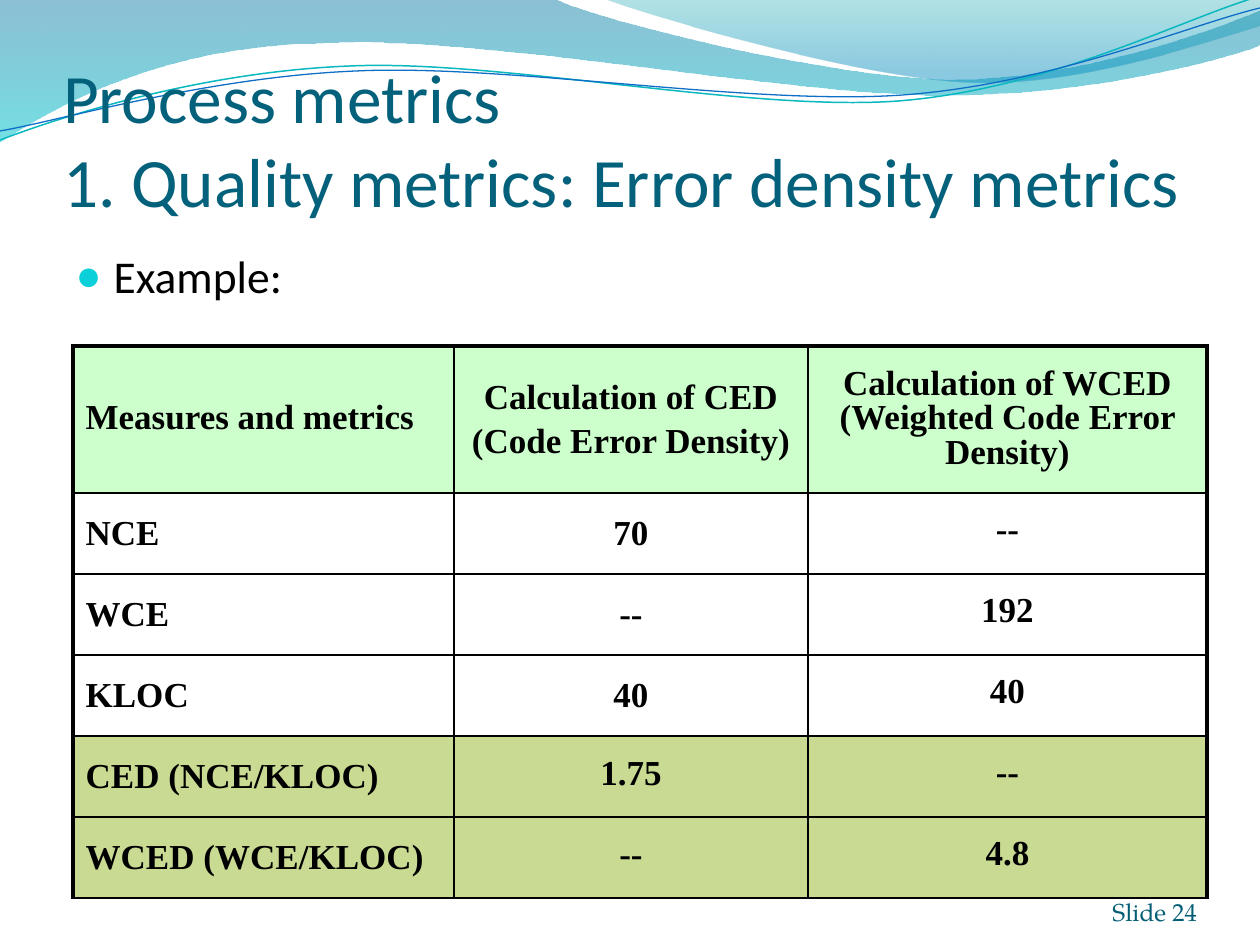
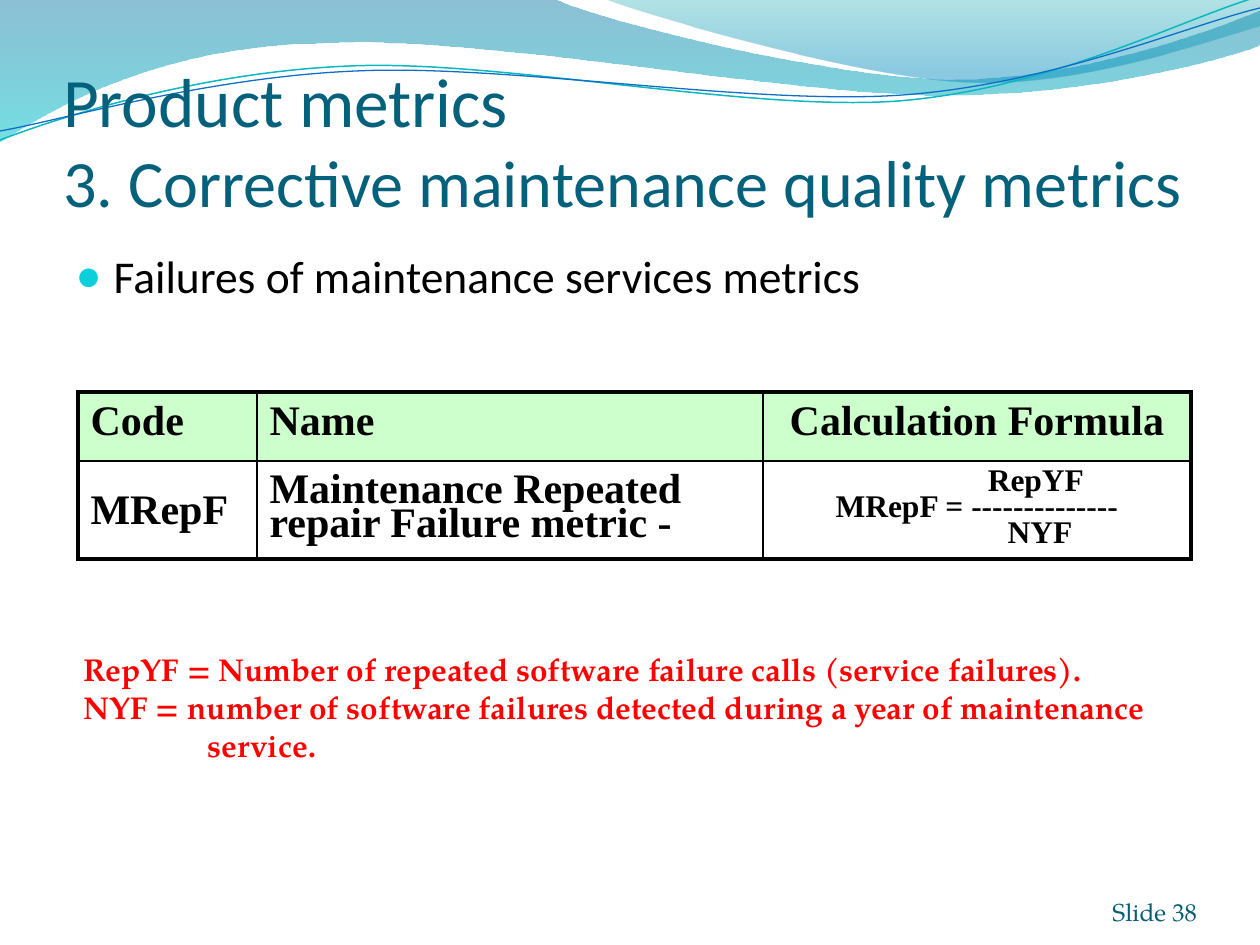
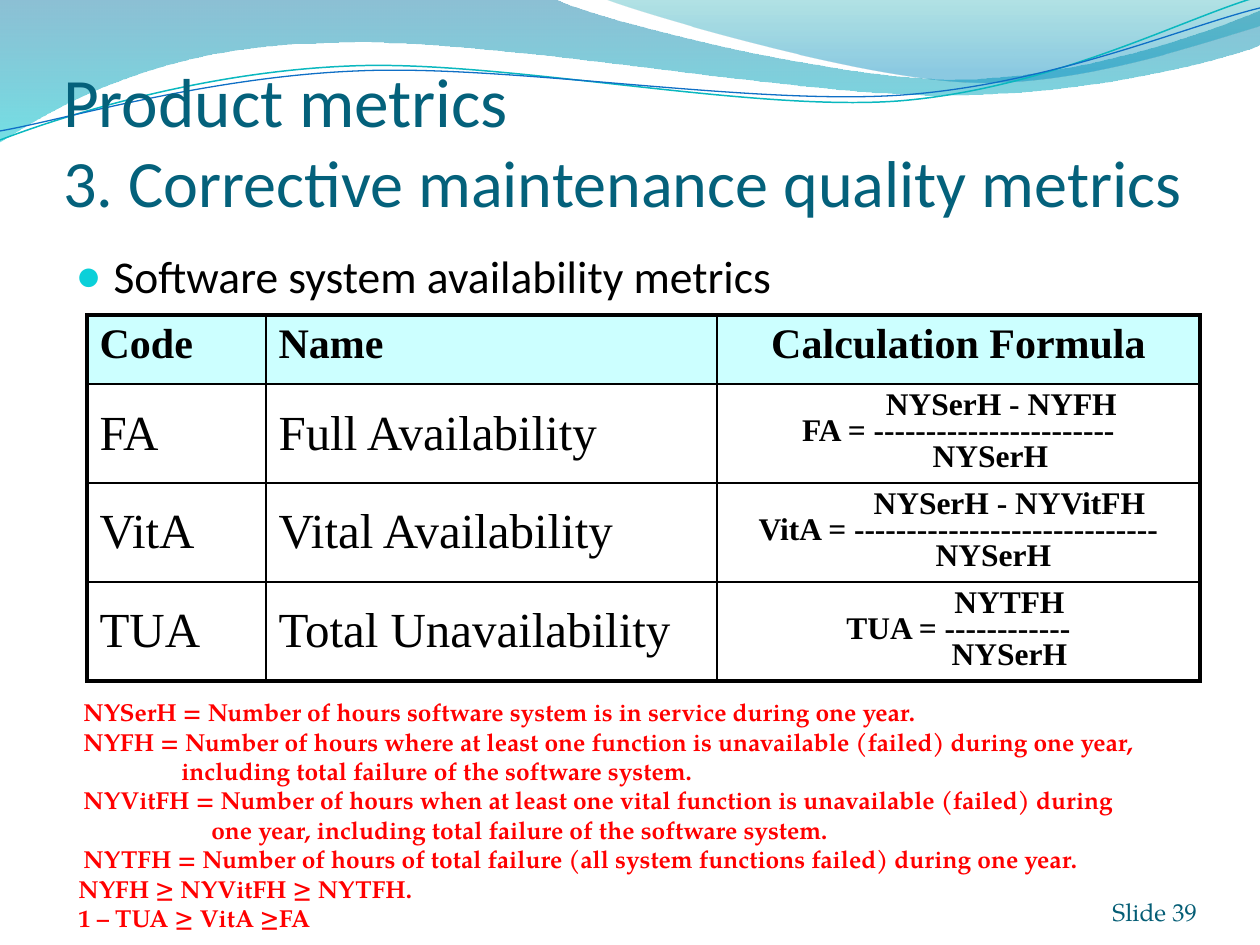
from dataclasses import dataclass

from lxml import etree
from pptx import Presentation
from pptx.dml.color import RGBColor
from pptx.enum.text import MSO_ANCHOR, MSO_AUTO_SIZE, PP_ALIGN
from pptx.oxml.ns import qn
from pptx.util import Pt

# Shared scale, colours and fonts
EMU_PER_PX = 914400 / 126
PAGE = (1260, 945)

BLACK = RGBColor(0x00, 0x00, 0x00)
TITLE_TEAL = RGBColor(0x04, 0x61, 0x7B)
FOOTER_TEAL = RGBColor(0x04, 0x5D, 0x75)
BULLET_CYAN = RGBColor(0x0B, 0xD0, 0xD9)
LEGEND_RED = RGBColor(0xFF, 0x00, 0x00)
HEADER_GREEN = RGBColor(0xCC, 0xFF, 0xCC)
HEADER_AQUA = RGBColor(0xCC, 0xFF, 0xFF)
RESULT_OLIVE = RGBColor(0xC9, 0xDA, 0x92)
WAVE_BLUE = RGBColor(0x00, 0x74, 0xA1)
WAVE_CYAN = RGBColor(0x00, 0xC6, 0xCF)
CREST_TEAL = RGBColor(0x00, 0xA1, 0xA9)
CREST_BLUE = RGBColor(0x00, 0x8B, 0xBF)
CURVE_CYAN = RGBColor(0x0A, 0xB8, 0xBF)
CURVE_BLUE = RGBColor(0x0F, 0x6F, 0xC6)

HEADING_FONT = "Calibri"
TABLE_FONT = "Times New Roman"
NOTE_FONT = "TeX Gyre Pagella"

CENTER, RIGHT = PP_ALIGN.CENTER, PP_ALIGN.RIGHT
TOP, MIDDLE, BOTTOM = MSO_ANCHOR.TOP, MSO_ANCHOR.MIDDLE, MSO_ANCHOR.BOTTOM
NO_FIT = MSO_AUTO_SIZE.NONE

TITLE_BOX = (63, 63, 1155, 158)
BODY_BOX = (63, 242, 1155, 651)
FOOTER_BOX = (1092, 876, 105, 50)
OUTER_PT, INNER_PT = 2.25, 1

# Waves: a start point, then lines (one point) and curves (three points)
WAVE = ((0, 0), [
    [(554, -1)],
    [(600, 21), (837, 79), (955, 79)],
    [(1075, 79), (1207, 33), (1260, 11)],
    [(1261, 45)],
    [(1239, 55), (1096, 96), (940, 95)],
    [(784, 95), (481, 35), (324, 43)],
    [(163, 45), (58, 105), (-1, 142)],
])
CREST = ((604, -1), [
    [(641, 14), (859, 78), (969, 82)],
    [(1079, 87), (1211, 40), (1260, 26)],
    [(1260, 0)],
])
CYAN_CURVE = ((0, 140), [
    [(60, 117), (199, 72), (349, 66)],
    [(498, 59), (747, 112), (898, 101)],
    [(1050, 89), (1182, 19), (1257, -3)],
])
BLUE_CURVE = ((0, 131), [
    [(59, 121), (207, 77), (357, 71)],
    [(508, 64), (752, 106), (903, 95)],
    [(1053, 84), (1186, 26), (1260, 8)],
])


@dataclass
class Cell:
    lines: list  # (text, left indent in px)
    size: int = 20
    bold: bool = True
    align: PP_ALIGN = None
    anchor: MSO_ANCHOR = MIDDLE
    spacing: float = None


def px(length):
    return round(length * EMU_PER_PX)


def emu_box(box):
    return [px(length) for length in box]


def add_run(paragraph, text, font, size, color, bold=False):
    run = paragraph.add_run()
    run.text = text
    run.font.name, run.font.size = font, Pt(size)
    run.font.color.rgb, run.font.bold = color, bold


def add_break(paragraph, size):
    paragraph.add_line_break()
    etree.SubElement(paragraph._p[-1], qn("a:rPr"), sz=str(round(size * 100)))


def set_indent(paragraph, left, first=0):
    properties = paragraph._p.get_or_add_pPr()
    properties.set("marL", str(px(left)))
    properties.set("indent", str(px(first)))


def next_paragraph(frame, index):
    return frame.add_paragraph() if index else frame.paragraphs[0]


# Wave header, shared through the slide master
def draw_outline(slide, outline, close):
    start, segments = outline
    builder = slide.shapes.build_freeform(*start, scale=EMU_PER_PX)
    builder.add_line_segments([point for segment in segments for point in segment], close)
    shape = builder.convert_to_shape()
    shape.shadow.inherit = False
    nodes = iter(shape._element.findall(".//" + qn("a:lnTo")))
    for segment in segments:
        group = [next(nodes) for _ in segment]
        if len(segment) == 3:
            curve = etree.Element(qn("a:cubicBezTo"))
            group[0].addprevious(curve)
            for node in group:
                curve.append(node[0])
                node.getparent().remove(node)
    return shape


def draw_band(slide, outline, stops):
    band = draw_outline(slide, outline, True)
    band.line.fill.background()
    band.fill.gradient()
    band.fill.gradient_angle = 270
    for stop, (position, color, opacity) in zip(band.fill.gradient_stops, stops):
        stop.position, stop.color.rgb = position, color
    for tint, (_, _, opacity) in zip(band._element.iter(qn("a:srgbClr")), stops):
        etree.SubElement(tint, qn("a:alpha"), val=str(opacity * 1000))
    return band


def draw_curve(slide, outline, color, width):
    curve = draw_outline(slide, outline, False)
    curve.fill.background()
    curve.line.color.rgb, curve.line.width = color, Pt(width)
    return curve


def add_master_waves(master, slide):
    waves = [
        draw_band(slide, WAVE, [(0, WAVE_BLUE, 45), (1, WAVE_CYAN, 55)]),
        draw_band(slide, CREST, [(0, CREST_TEAL, 30), (0.8, CREST_BLUE, 45)]),
        draw_curve(slide, CYAN_CURVE, CURVE_CYAN, 0.85),
        draw_curve(slide, BLUE_CURVE, CURVE_BLUE, 0.75),
    ]
    for index, wave in enumerate(waves):
        wave._element.nvSpPr.cNvPr.set("id", str(100 + index))
        master.shapes._spTree.insert(2 + index, wave._element)


# Title, bullet and slide number
def fill_title(title, box, lines):
    title.left, title.top, title.width, title.height = emu_box(box)
    frame = title.text_frame
    frame.auto_size, frame.vertical_anchor = NO_FIT, BOTTOM
    frame.margin_left = frame.margin_right = frame.margin_bottom = 0
    frame.margin_top = px(6)
    paragraph = frame.paragraphs[0]
    paragraph.alignment = PP_ALIGN.LEFT
    for index, (text, size) in enumerate(lines):
        if index:
            add_break(paragraph, lines[0][1])
        add_run(paragraph, text, HEADING_FONT, size, TITLE_TEAL)


def fill_topic(body, box, topic):
    body.left, body.top, body.width, body.height = emu_box(box)
    body.text_frame.auto_size = NO_FIT
    paragraph = body.text_frame.paragraphs[0]
    paragraph.space_before = Pt(6)
    set_indent(paragraph, 38, -38)
    properties = paragraph._p.get_or_add_pPr()
    bullet_color = etree.SubElement(properties, qn("a:buClr"))
    etree.SubElement(bullet_color, qn("a:srgbClr"), val=str(BULLET_CYAN))
    etree.SubElement(properties, qn("a:buSzPct"), val="95000")
    etree.SubElement(properties, qn("a:buChar"), char="●")
    add_run(paragraph, topic, HEADING_FONT, 26, BLACK)


def add_slide_number(slide, box, number):
    frame = slide.shapes.add_textbox(*emu_box(box)).text_frame
    frame.word_wrap, frame.vertical_anchor = True, BOTTOM
    frame.margin_left = frame.margin_right = frame.margin_top = frame.margin_bottom = 0
    frame.paragraphs[0].alignment = RIGHT
    add_run(frame.paragraphs[0], f"Slide {number}", NOTE_FONT, 14, FOOTER_TEAL)


def add_metrics_slide(deck, title_lines, topic, number):
    slide = deck.slides.add_slide(deck.slide_layouts[1])
    fill_title(slide.shapes.title, TITLE_BOX, title_lines)
    fill_topic(slide.placeholders[1], BODY_BOX, topic)
    add_slide_number(slide, FOOTER_BOX, number)
    return slide


# Tables
def set_borders(cell, widths):
    properties = cell._tc.get_or_add_tcPr()
    for side, width in zip("LRTB", widths):
        edge = etree.SubElement(properties, qn(f"a:ln{side}"), w=str(Pt(width)))
        paint = etree.SubElement(edge, qn("a:solidFill"))
        etree.SubElement(paint, qn("a:srgbClr"), val=str(BLACK))


def fill_cell(cell, content):
    cell.vertical_anchor = content.anchor
    for index, (text, indent) in enumerate(content.lines):
        paragraph = next_paragraph(cell.text_frame, index)
        paragraph.alignment = content.align
        if content.spacing:
            paragraph.line_spacing = content.spacing
        else:
            paragraph.space_before = Pt(round(content.size * 0.16))
        if indent:
            set_indent(paragraph, indent)
        add_run(paragraph, text, TABLE_FONT, content.size, BLACK, content.bold)


def add_metrics_table(slide, origin, columns, heights, rows, row_fills, bottom=OUTER_PT):
    box = (*origin, sum(columns), sum(heights))
    table = slide.shapes.add_table(len(rows), len(columns), *emu_box(box)).table
    table.first_row = table.horz_banding = False
    for column, width in zip(table.columns, columns):
        column.width = px(width)
    last_row, last_column = len(rows) - 1, len(columns) - 1
    for r, contents in enumerate(rows):
        table.rows[r].height = px(heights[r])
        for c, content in enumerate(contents):
            cell = table.cell(r, c)
            set_borders(cell, (
                INNER_PT if c else OUTER_PT,
                OUTER_PT if c == last_column else INNER_PT,
                INNER_PT if r else OUTER_PT,
                bottom if r == last_row else INNER_PT,
            ))
            if row_fills[r]:
                cell.fill.solid()
                cell.fill.fore_color.rgb = row_fills[r]
            else:
                cell.fill.background()
            fill_cell(cell, content)


def formula_header():
    return [
        Cell([("Code", 0)], 24, anchor=TOP),
        Cell([("Name", 0)], 24, anchor=TOP),
        Cell([("Calculation Formula", 0)], 24, align=CENTER, anchor=TOP),
    ]


def formula_cell(numerator, fraction, denominator):
    return Cell([numerator, (fraction, 0), denominator], 18, align=CENTER, spacing=0.75)


# Legend: entries of (text, continuation, first-line indent, continuation indent)
def add_legend(slide, box, entries, size):
    frame = slide.shapes.add_textbox(*emu_box(box)).text_frame
    frame.word_wrap = True
    for index, (text, continuation, first, hang) in enumerate(entries):
        paragraph = next_paragraph(frame, index)
        set_indent(paragraph, hang, first - hang)
        add_run(paragraph, text, NOTE_FONT, size, LEGEND_RED, True)
        if continuation:
            add_break(paragraph, size)
            add_run(paragraph, continuation, NOTE_FONT, size, LEGEND_RED, True)


# Slides
def build_error_density(deck):
    title = [("Process metrics", 39.6),
             ("1. Quality metrics: Error density metrics", 39.6)]
    slide = add_metrics_slide(deck, title, "Example:", 24)
    rows = [[
        Cell([("Measures and metrics", 0)], spacing=0.9),
        Cell([("Calculation of CED", 0), ("(Code Error Density)", 0)], align=CENTER),
        Cell([("Calculation of WCED", 0), ("(Weighted Code Error Density)", 0)],
             align=CENTER, spacing=0.9),
    ]]
    measures = [
        ("NCE", "70", "--", None),
        ("WCE", "--", "192", None),
        ("KLOC", "40", "40", None),
        ("CED (NCE/KLOC)", "1.75", "--", 0.75),
        ("WCED (WCE/KLOC)", "--", "4.8", 0.75),
    ]
    for measure, ced, wced, ced_spacing in measures:
        rows.append([
            Cell([(measure, 0)]),
            Cell([(ced, 0)], align=CENTER, spacing=ced_spacing),
            Cell([(wced, 0)], align=CENTER, spacing=0.7),
        ])
    fills = [HEADER_GREEN] + [None] * 3 + [RESULT_OLIVE] * 2
    add_metrics_table(slide, (73, 346), (381, 354, 399), [147] + [81] * 5,
                      rows, fills, bottom=INNER_PT)
    return slide


MAINTENANCE_TITLE = [("Product metrics", 39.6),
                     ("3. Corrective maintenance quality metrics", 37.8)]


def build_maintenance_failures(deck):
    slide = add_metrics_slide(deck, MAINTENANCE_TITLE,
                              "Failures of maintenance services metrics", 38)
    rows = [formula_header(), [
        Cell([("MRepF", 0)], 24),
        Cell([("Maintenance Repeated repair Failure metric -", 0)], 24, spacing=0.75),
        formula_cell(("RepYF", 118), "MRepF = --------------", ("NYF", 126)),
    ]]
    add_metrics_table(slide, (78, 392), (179, 506, 428), (69, 98),
                      rows, [HEADER_GREEN, None])
    add_legend(slide, (15, 644, 1187, 127), [
        ("RepYF = Number of repeated software failure calls (service failures).",
         None, 56, 56),
        ("NYF = number of software failures detected during a year of maintenance",
         "service.", 56, 180),
    ], 18)


def build_availability(deck):
    slide = add_metrics_slide(deck, MAINTENANCE_TITLE,
                              "Software system availability metrics", 39)
    metrics = [
        ("FA", "Full Availability", ("NYSerH - NYFH", 86),
         "FA = -----------------------", ("NYSerH", 64)),
        ("VitA", "Vital Availability", ("NYSerH - NYVitFH", 102),
         "VitA = -----------------------------", ("NYSerH", 70)),
        ("TUA", "Total Unavailability", ("NYTFH", 102),
         "TUA = ------------", ("NYSerH", 102)),
    ]
    rows = [formula_header()]
    for code, name, *formula in metrics:
        rows.append([Cell([(code, 0)], 28, False), Cell([(name, 0)], 28, False),
                     formula_cell(*formula)])
    add_metrics_table(slide, (87, 315), (179, 451, 483), [69] + [99] * 3,
                      rows, [HEADER_AQUA] + [None] * 3)
    add_legend(slide, (66, 691, 1155, 254), [
        ("NYSerH = Number of hours software system is in service during one year.",
         None, 5, 5),
        ("NYFH = Number of hours where at least one function is unavailable (failed) "
         "during one year,",
         "including total failure of the software system.", 5, 103),
        ("NYVitFH = Number of hours when at least one vital function is unavailable "
         "(failed) during",
         "one year, including total failure of the software system.", 5, 133),
        ("NYTFH = Number of hours of total failure (all system functions failed) "
         "during one year.", None, 5, 5),
        ("NYFH ≥ NYVitFH ≥ NYTFH.", None, 0, 0),
        ("1 – TUA ≥ VitA ≥FA", None, 0, 0),
    ], 14)


def main():
    deck = Presentation()
    deck.slide_width, deck.slide_height = emu_box(PAGE)
    first_slide = build_error_density(deck)
    add_master_waves(deck.slide_master, first_slide)
    build_maintenance_failures(deck)
    build_availability(deck)
    deck.save("out.pptx")


if __name__ == "__main__":
    main()
